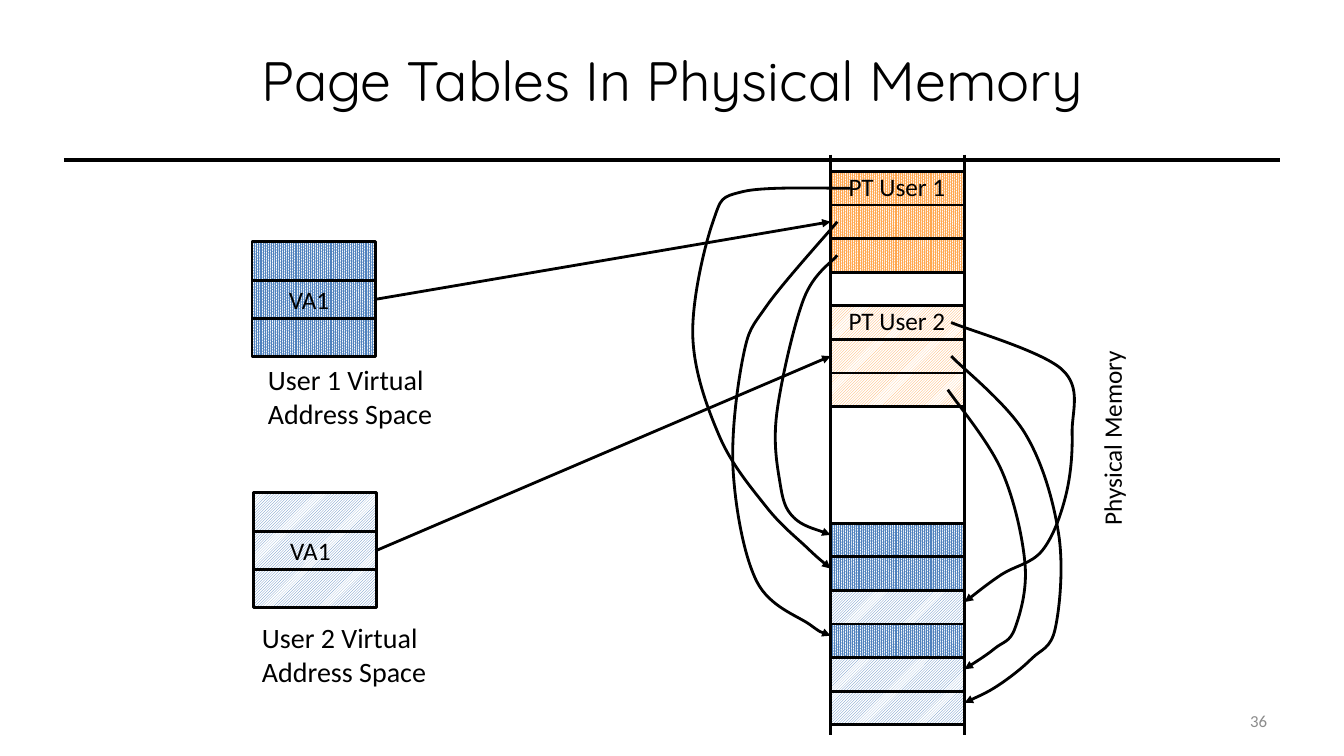
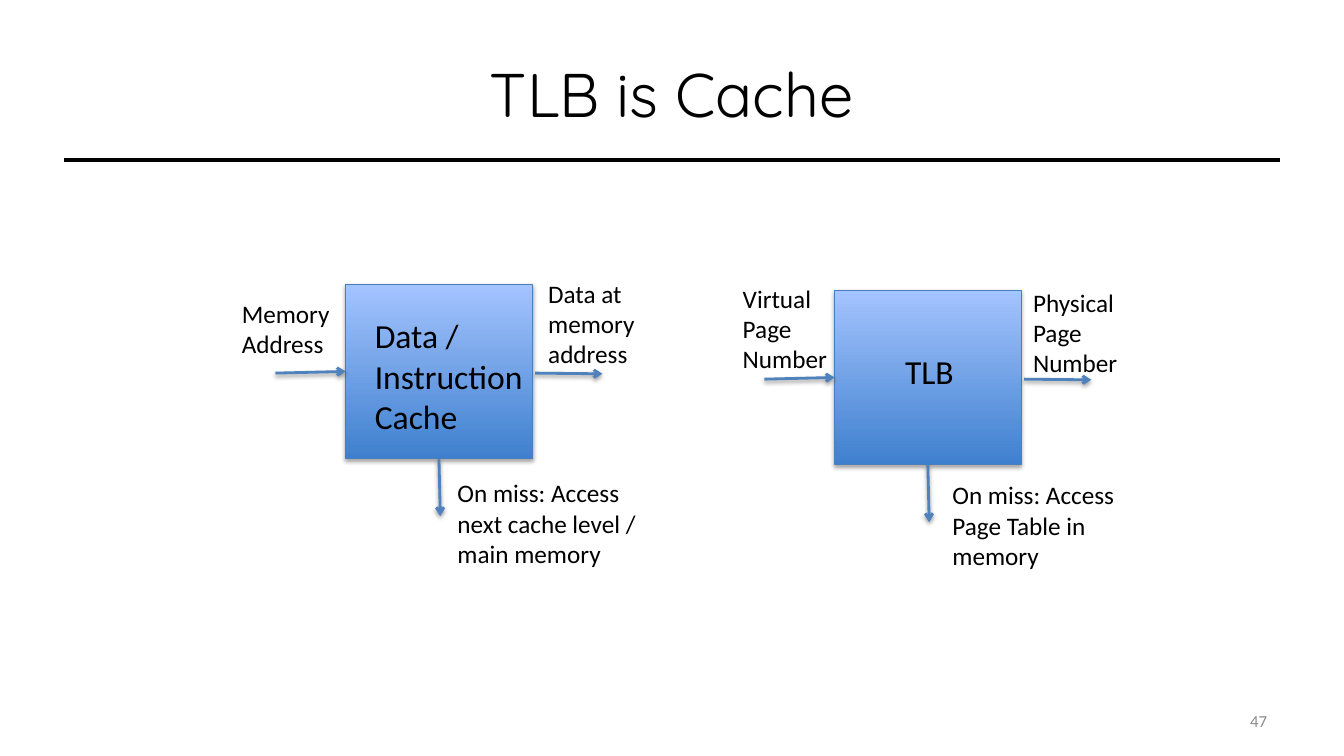
from dataclasses import dataclass

from lxml import etree
from pptx import Presentation
from pptx import util as u
from pptx.dml.color import RGBColor
from pptx.enum import dml, shapes, text
from pptx.oxml.ns import qn


@dataclass(frozen=True)
class Theme:
    ink: str = "000000"
    paper: str = "FFFFFF"
    muted: str = "8C8C8C"
    blue: str = "4F81BD"
    orange: str = "FFA74F"
    box_low: str = "3F80CE"
    box_high: str = "A4C4FF"
    box_edge: str = "4B7EBC"
    title_font: str = "Quicksand"
    body_font: str = "Calibri"
    number: float = 12
    label: float = 18
    caption: float = 20
    block: float = 24
    thin: float = 0.75
    line: float = 2
    rule: float = 3


@dataclass(frozen=True)
class User:
    name: str
    space: tuple
    caption: tuple
    pattern: object
    side: int
    table_row: int
    pages: tuple
    insets: tuple
    routes: tuple


T = Theme()
U = u.Inches(1 / 3)
COLS, ROWS = 40, 22.5
TOP, LEFT, BOTTOM, RIGHT = range(4)
STRAIGHT = shapes.MSO_CONNECTOR.STRAIGHT
RECT = shapes.MSO_SHAPE.RECTANGLE
MIDDLE = text.MSO_ANCHOR.MIDDLE


def write(sp, words, x, y, width, lines=1, height=None, size=T.label, font=T.body_font,
          color=T.ink, align=text.PP_ALIGN.LEFT, anchor=text.MSO_ANCHOR.TOP):
    height = height or lines * size / 20 + 0.3
    sp.left, sp.top, sp.width, sp.height = (int(v * U) for v in (x, y, width, height))
    tf = sp.text_frame
    tf.word_wrap = True
    tf.auto_size = text.MSO_AUTO_SIZE.NONE
    tf.vertical_anchor = anchor
    p = tf.paragraphs[0]
    p.alignment = align
    r = p.add_run()
    r.text = words
    r.font.size, r.font.name = u.Pt(size), font
    r.font.color.rgb = RGBColor.from_string(color)
    return sp


def stroke(sp, color=T.ink, width=T.line, arrow=None, shadow=None):
    sp.line.color.rgb = RGBColor.from_string(color)
    sp.line.width = u.Pt(width)
    props = sp.element.spPr
    if arrow:
        etree.SubElement(props.find(qn("a:ln")), qn("a:tailEnd"), type=arrow)
    effects = etree.SubElement(props, qn("a:effectLst"))
    if shadow:
        distance, opacity = shadow
        outer = etree.SubElement(effects, qn("a:outerShdw"), blurRad=str(u.Pt(3.1)),
                                 dist=str(u.Pt(distance)), dir="5400000", rotWithShape="0")
        tone = etree.SubElement(outer, qn("a:srgbClr"), val=T.ink)
        etree.SubElement(tone, qn("a:alpha"), val=str(opacity * 1000))
    return sp


prs = Presentation()
prs.slide_width, prs.slide_height = int(COLS * U), int(ROWS * U)

RULE_X, RULE_Y = 1.9, 4.77
slides = []
for title, x, y, width, height, size, number in [
    ("Page Tables In Physical Memory", 6.8, 0.87, 26.4, 2.97, 39.6, "36"),
    ("TLB is Cache", 2, 0.9, 36, 3.75, 44, "47"),
]:
    s = prs.slides.add_slide(prs.slide_layouts[5])
    write(s.shapes.title, title, x, y, width, height=height, size=size, font=T.title_font,
          align=text.PP_ALIGN.CENTER, anchor=MIDDLE)
    ends = (RULE_X, RULE_Y, COLS - RULE_X, RULE_Y)
    stroke(s.shapes.add_connector(STRAIGHT, *(int(v * U) for v in ends)), width=T.rule)
    write(s.shapes.add_textbox(0, 0, 0, 0), number, 28.68, 20.85, 9.33, height=1.2,
          size=T.number, color=T.muted, align=text.PP_ALIGN.RIGHT, anchor=MIDDLE)
    slides.append(s)

memory, cache = slides

MEM_X, MEM_Y, MEM_W = 24.72, 5.1, 3.99
WALL_TOP, WALL_BOTTOM = 4.6, 21.87
FREE_ROW, FIRST_PAGE_ROW = 3, 10.47
SLOTS = 3
SPACE_W, SPACE_ROW = 3.67, 1.14
LEAVE, ARRIVE = 0.5, 0.35

# Each route lists (columns outside memory, rows below its top).
users = [
    User("User 1", space=(7.5, 7.2), caption=(0.18, 3.45),
         pattern=dml.MSO_PATTERN.PERCENT_90, side=LEFT, table_row=0,
         pages=(1, 3, 0), insets=(0.6, 0.2, 0.2),
         routes=(((2.6, 0.6), (3.5, 1.5), (4.1, 4.9), (3.3, 7.9), (1.9, 10), (0.7, 11.2)),
                 ((1.9, 4), (2.6, 5.5), (2.9, 8.9), (2.2, 12.2), (0.6, 13.5)),
                 ((0.8, 3.8), (1.6, 7.2), (1.5, 9.3), (1.1, 10.3)))),
    User("User 2", space=(7.54, 14.67), caption=(-0.04, 3.66),
         pattern=dml.MSO_PATTERN.DARK_UPWARD_DIAGONAL, side=RIGHT, table_row=4,
         pages=(2, 5, 4), insets=(0.4, 0.4, 0.5),
         routes=(((2.9, 5.9), (3.2, 7.8), (3, 9.7), (2.3, 11.3), (1.1, 12)),
                 ((1.8, 7.8), (2.8, 10.8), (2.7, 13.6), (2, 14.5), (1, 15.3)),
                 ((1.1, 8.9), (1.8, 11.7), (1.5, 13.6), (0.9, 14.2)))),
]

areas = {"free": (MEM_X, MEM_Y + FREE_ROW, MEM_W, 1, None, T.paper)}
for user in users:
    areas[user.name, "space"] = (*user.space, SPACE_W, SLOTS * SPACE_ROW, user.pattern, T.blue)
    for slot, page in enumerate(user.pages):
        entry_y = MEM_Y + user.table_row + slot
        page_y = MEM_Y + FIRST_PAGE_ROW + page
        areas[user.name, slot] = (MEM_X, entry_y, MEM_W, 1, user.pattern, T.orange)
        areas[user.name, "page", slot] = (MEM_X, page_y, MEM_W, 1, user.pattern, T.blue)

rects = {}
for key, (*box, pattern, color) in areas.items():
    sp = memory.shapes.add_shape(RECT, *(int(v * U) for v in box))
    if pattern:
        sp.fill.patterned()
        sp.fill.pattern = pattern
        sp.fill.back_color.rgb = RGBColor.from_string(T.paper)
    else:
        sp.fill.solid()
    sp.fill.fore_color.rgb = RGBColor.from_string(color)
    rects[key] = stroke(sp)

lines = [(x, WALL_TOP, x, WALL_BOTTOM) for x in (MEM_X, MEM_X + MEM_W)]
for user in users:
    x, y = user.space
    lines += [(x, y + k * SPACE_ROW, x + SPACE_W, y + k * SPACE_ROW) for k in range(1, SLOTS)]
for ends in lines:
    stroke(memory.shapes.add_connector(STRAIGHT, *(int(v * U) for v in ends)))

for user in users:
    x, y = user.space
    dx, dy = user.caption
    write(memory.shapes.add_textbox(0, 0, 0, 0), "VA1", x + 0.8, y + 1.12, 1.83)
    write(memory.shapes.add_textbox(0, 0, 0, 0), f"{user.name} Virtual Address Space",
          x + dx, y + dy, 7.83, lines=2, size=T.caption)
    write(memory.shapes.add_textbox(0, 0, 0, 0), f"PT {user.name}",
          MEM_X + 0.24, MEM_Y + user.table_row - 0.15, 4.23)

    link = memory.shapes.add_connector(STRAIGHT, 0, 0, 0, 0)
    link.begin_connect(rects[user.name, "space"], RIGHT)
    link.end_connect(rects[user.name, 1], LEFT)
    stroke(link, arrow="triangle")

    wall, outward = (MEM_X, -1) if user.side == LEFT else (MEM_X + MEM_W, 1)
    for slot, (page, inset, route) in enumerate(zip(user.pages, user.insets, user.routes)):
        leave = (-inset, user.table_row + slot + LEAVE)
        arrive = (0, FIRST_PAGE_ROW + page + ARRIVE)
        stops = [((wall + outward * reach) * U, (MEM_Y + row) * U)
                 for reach, row in (leave, *route, arrive)]
        padded = [stops[0], *stops, stops[-1]]
        controls = []
        for before, start, end, after in zip(padded, padded[1:], padded[2:], padded[3:]):
            controls.append([a + (c - b) / 6 for a, b, c in zip(start, before, end)])
            controls.append([a - (c - b) / 6 for a, b, c in zip(end, start, after)])
            controls.append(end)
        outline = memory.shapes.build_freeform(*(int(v) for v in stops[0]))
        outline.add_line_segments([(int(px), int(py)) for px, py in controls], close=False)
        sp = outline.convert_to_shape()
        sp.fill.background()
        geom = sp.element.find(".//" + qn("a:path"))
        for i, segment in enumerate(geom.findall(qn("a:lnTo"))):
            if i % 3 == 0:
                bezier = etree.SubElement(geom, qn("a:cubicBezTo"))
            bezier.append(segment[0])
            geom.remove(segment)
        stroke(sp, arrow="triangle")

sp = write(memory.shapes.add_textbox(0, 0, 0, 0), "Physical Memory", 29.28, 11.52, 7.62)
sp.rotation = 270

BOX_W, BOX_H = 5.55, 5.19
MID_X, MID_Y = BOX_W / 2, BOX_H / 2
ARROW, GAP = 2, 0.09

for x, y, labels in [
    (10.29, 8.46, [
        ("Memory Address", -3.39, 0.27, 3.54, 2, T.label),
        ("Data at memory address", 5.73, -0.33, 3.54, 3, T.label),
        ("On miss: Access next cache level / main memory", 3.03, 5.61, 6.24, 3, T.label),
        ("Data / Instruction Cache", 0.57, 0.78, 5.58, 3, T.block),
    ]),
    (24.84, 8.64, [
        ("Virtual Page Number", -3.03, -0.36, 3.96, 3, T.label),
        ("Physical Page Number", 5.61, -0.24, 3.96, 3, T.label),
        ("On miss: Access Page Table in memory", 3.21, 5.49, 6.24, 3, T.label),
        ("TLB", 1.8, 1.66, 2.94, 1, T.block),
    ]),
]:
    box = cache.shapes.add_shape(RECT, *(int(v * U) for v in (x, y, BOX_W, BOX_H)))
    box.fill.gradient()
    box.fill.gradient_angle = 90
    for stop, color in zip(box.fill.gradient_stops, (T.box_low, T.box_high)):
        stop.color.rgb = RGBColor.from_string(color)
    stroke(box, T.box_edge, T.thin, shadow=(1.8, 35))

    request, answer, miss = (
        cache.shapes.add_connector(STRAIGHT, *(int(v * U) for v in ends)) for ends in [
            (x - ARROW - GAP, y + MID_Y + 0.05, x, y + MID_Y),
            (x + BOX_W + GAP, y + MID_Y + 0.05, x + BOX_W + GAP + ARROW, y + MID_Y + 0.07),
            (x + MID_X, y + BOX_H, x + MID_X + 0.04, y + 6.9),
        ])
    request.end_connect(box, LEFT)
    miss.begin_connect(box, BOTTOM)
    for link in (request, answer, miss):
        stroke(link, T.blue, arrow="arrow", shadow=(1.6, 38))

    for words, dx, dy, width, count, size in labels:
        write(cache.shapes.add_textbox(0, 0, 0, 0), words, x + dx, y + dy, width,
              lines=count, size=size)

prs.save("out.pptx")
